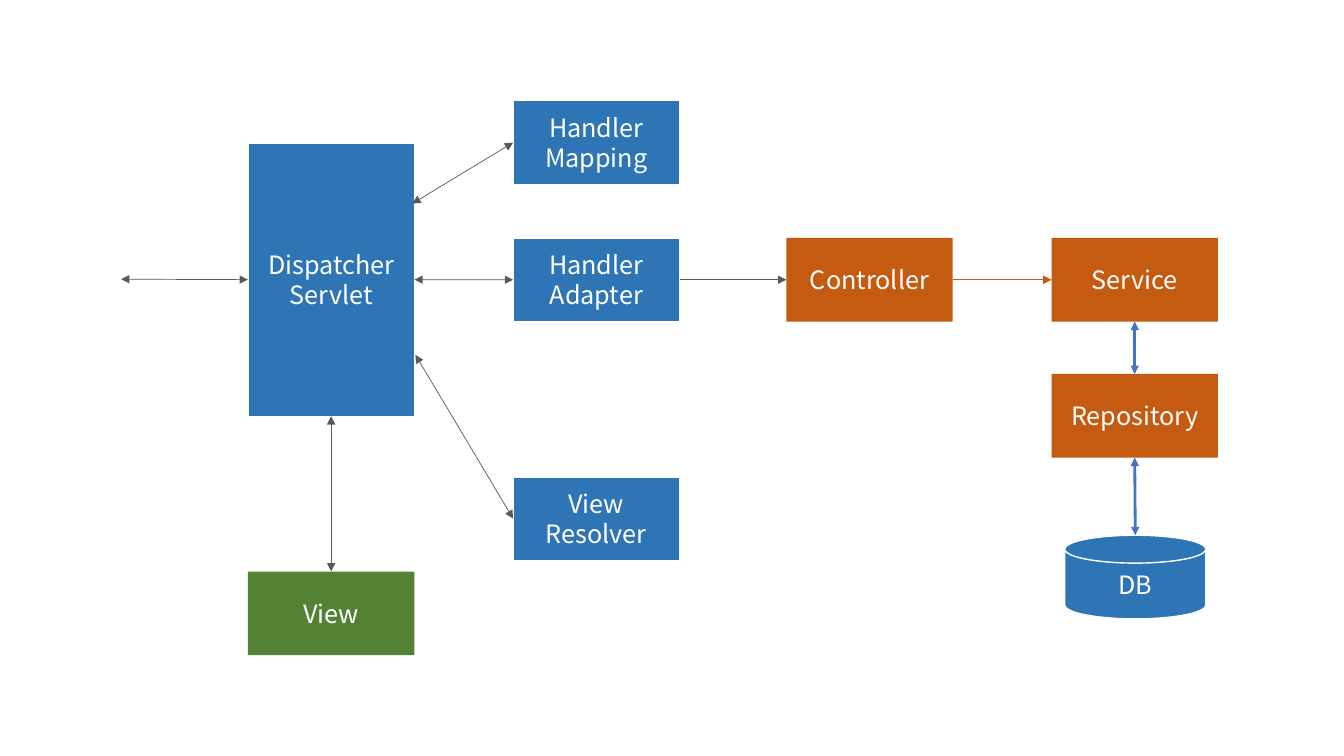
"""Draw the request flow of a web framework as linked boxes."""
from dataclasses import dataclass
from typing import Optional, Union

from lxml.etree import SubElement as Sub
from pptx import Presentation
from pptx.dml.color import RGBColor as Rgb
from pptx.enum.shapes import MSO_CONNECTOR as Conn, MSO_SHAPE as Kind
from pptx.enum.text import MSO_ANCHOR as Anchor, PP_ALIGN as Align
from pptx.oxml.ns import qn
from pptx.shapes.autoshape import Shape
from pptx.util import Inches, Pt

BLUE = Rgb(0x2E, 0x75, 0xB6)
GREEN = Rgb(0x54, 0x82, 0x35)
RUST = Rgb(0xC5, 0x5A, 0x11)
NAVY = Rgb(0x44, 0x72, 0xC4)
GRAY = Rgb(0x59, 0x59, 0x59)
WHITE = Rgb(0xFF, 0xFF, 0xFF)
FONT = "Noto Sans CJK KR"

WIDE, HIGH = Inches(13.33), Inches(7.5)
COLS = (18.45, 38.18, 58.51, 78.24)
BOX_W, BOX_H = 12.38, 11.07
MID = 36.93
TOP, LEFT, BASE, RIGHT = range(4)


@dataclass(frozen=True)
class Box:
    text: str
    left: float
    top: float
    fill: Rgb = BLUE
    wide: float = BOX_W
    high: float = BOX_H
    kind: Kind = Kind.RECTANGLE


@dataclass(frozen=True)
class Joint:
    name: str
    side: int


@dataclass(frozen=True)
class Point:
    x: float
    y: float


End = Union[Joint, Point]


@dataclass(frozen=True)
class Link:
    start: End
    stop: End
    color: Rgb = GRAY
    width: float = 0.5
    both: bool = True


BOXES = {
    "servlet": Box("Dispatcher\nServlet", COLS[0], 18.93, high=36.13),
    "mapping": Box("Handler\nMapping", COLS[1], 13.33),
    "adapter": Box("Handler\nAdapter", COLS[1], 31.47),
    "solver": Box("View\nResolver", COLS[1], 63.07),
    "view": Box("View", COLS[0], 75.6, GREEN),
    "control": Box("Controller", COLS[2], 31.47, RUST),
    "service": Box("Service", COLS[3], 31.47, RUST),
    "store": Box("Repository", COLS[3], 49.47, RUST),
    "db": Box("DB", 79.22, 70.8, wide=10.5, kind=Kind.FLOWCHART_MAGNETIC_DISK),
}

LINKS = (
    Link(Point(9, MID), Joint("servlet", LEFT)),
    Link(Joint("servlet", RIGHT), Joint("adapter", LEFT)),
    Link(Point(30.68, 26.93), Joint("mapping", LEFT)),
    Link(Point(30.91, 46.93), Joint("solver", LEFT)),
    Link(Joint("adapter", RIGHT), Joint("control", LEFT), both=False),
    Link(Joint("servlet", BASE), Joint("view", TOP)),
    Link(Joint("control", RIGHT), Joint("service", LEFT), RUST, both=False),
    Link(Joint("service", BASE), Joint("store", TOP), NAVY, 2),
    Link(Joint("store", BASE), Point(84.47, 70.8), NAVY, 2),
)


def across(share: float) -> int:
    """Turn a percentage of the slide's width into a length."""
    return round(WIDE * share / 100)


def down(share: float) -> int:
    """Turn a percentage of the slide's height into a length."""
    return round(HIGH * share / 100)


def draw_box(slide, box: Box) -> Shape:
    """Add one labelled shape."""
    shape = slide.shapes.add_shape(
        box.kind, across(box.left), down(box.top), across(box.wide), down(box.high))
    shape.shadow.inherit = False
    shape.fill.solid()
    shape.fill.fore_color.rgb = box.fill
    if box.fill == BLUE:
        shape.line.color.rgb = WHITE
        shape.line.width = Pt(1)
    else:
        shape.line.fill.background()
    frame = shape.text_frame
    frame.word_wrap = True
    frame.vertical_anchor = Anchor.MIDDLE
    frame.text = box.text
    for para in frame.paragraphs:
        para.alignment = Align.CENTER
        para.font.name = FONT
        para.font.size = Pt(18)
        para.font.color.rgb = WHITE
    return shape


def place(end: End) -> tuple[int, int]:
    """Find where a link's end lies on the slide."""
    if isinstance(end, Point):
        return across(end.x), down(end.y)
    box = BOXES[end.name]
    x, y = {TOP: (0.5, 0), LEFT: (0, 0.5), BASE: (0.5, 1), RIGHT: (1, 0.5)}[end.side]
    return across(box.left + x * box.wide), down(box.top + y * box.high)


def draw_link(slide, link: Link, shapes: dict[str, Shape]) -> None:
    """Add one arrow and join it to its boxes."""
    line = slide.shapes.add_connector(
        Conn.STRAIGHT, *place(link.start), *place(link.stop))
    if isinstance(link.start, Joint):
        line.begin_connect(shapes[link.start.name], link.start.side)
    if isinstance(link.stop, Joint):
        line.end_connect(shapes[link.stop.name], link.stop.side)
    line.line.color.rgb = link.color
    line.line.width = Pt(link.width)
    stroke = line.line._get_or_add_ln()
    for tag in ("a:headEnd", "a:tailEnd") if link.both else ("a:tailEnd",):
        Sub(stroke, qn(tag), type="triangle")
    Sub(line._element.spPr, qn("a:effectLst"))


def main() -> None:
    """Build and save the slide."""
    deck = Presentation()
    deck.slide_width, deck.slide_height = WIDE, HIGH
    slide = deck.slides.add_slide(deck.slide_layouts[6])
    shapes = {name: draw_box(slide, box) for name, box in BOXES.items()}
    for link in LINKS:
        draw_link(slide, link, shapes)
    deck.save("out.pptx")


if __name__ == "__main__":
    main()
